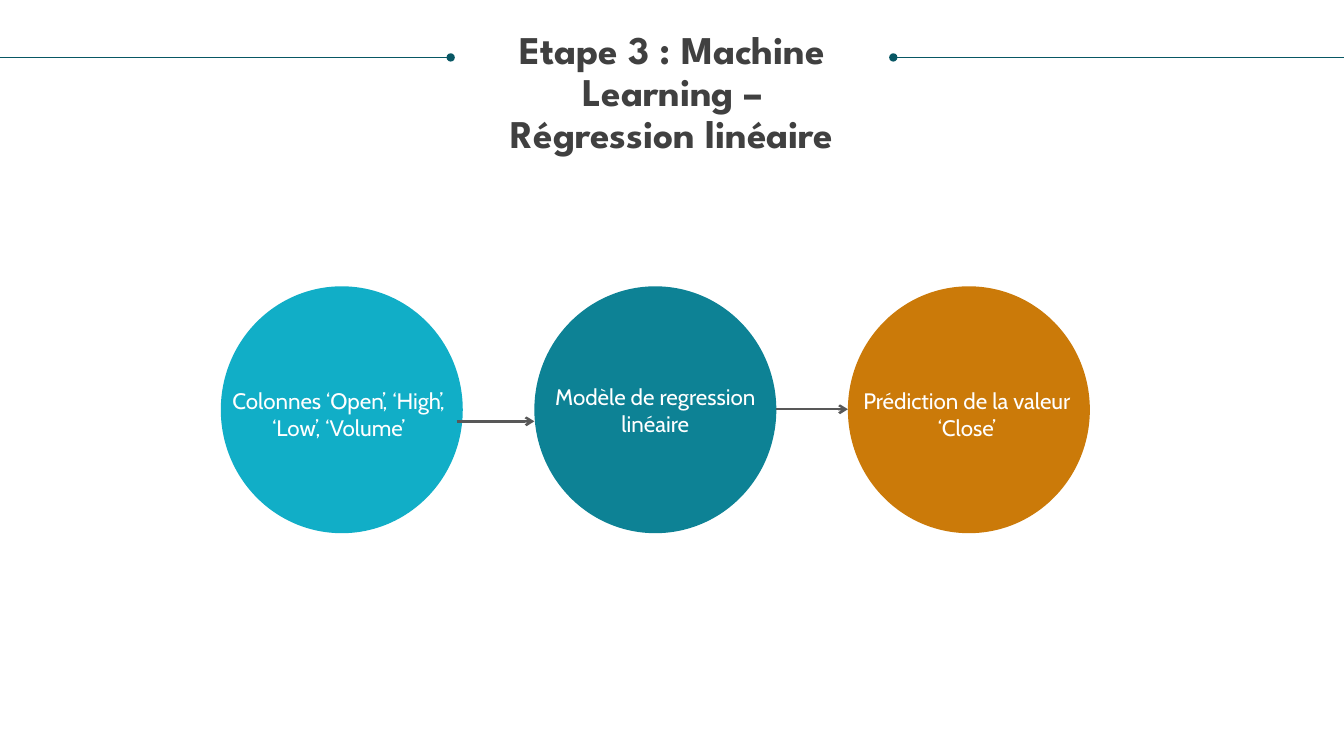
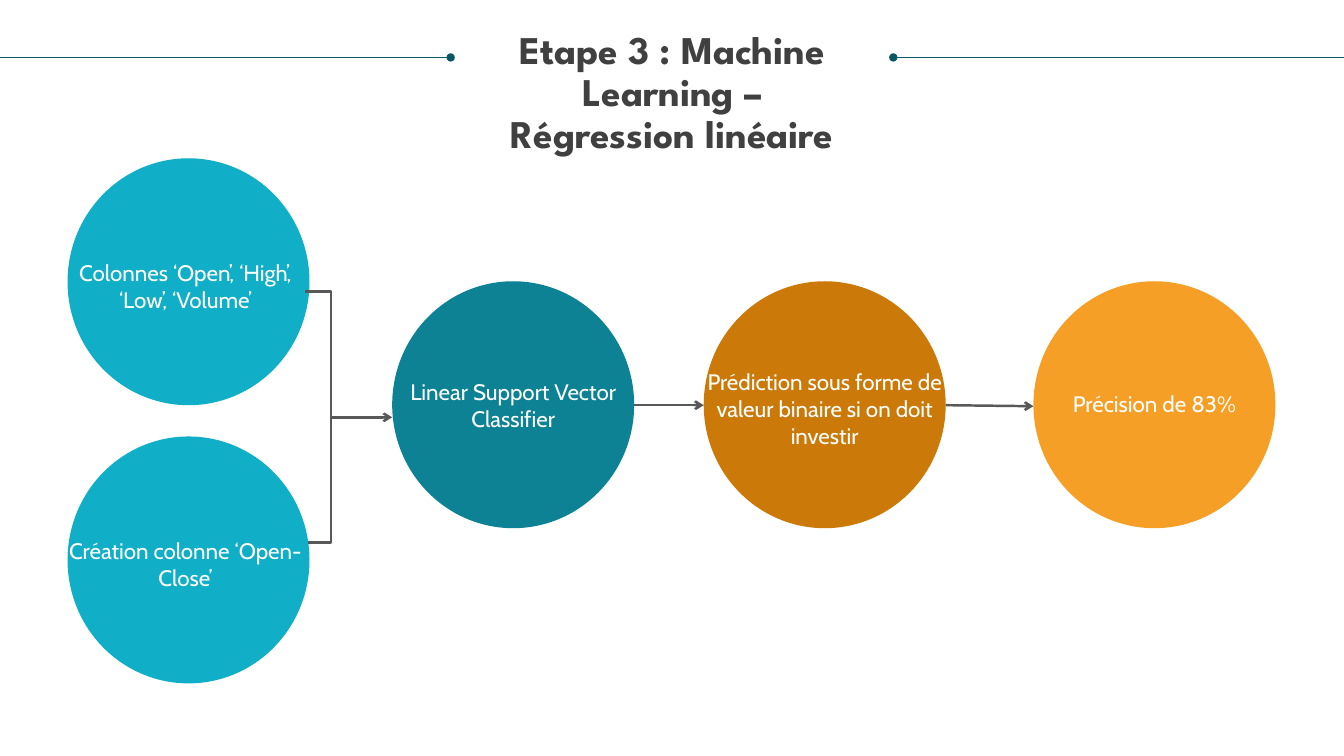
from dataclasses import dataclass

from lxml import etree
from pptx import Presentation
from pptx import util as u
from pptx.dml.color import RGBColor
from pptx.enum import shapes, text
from pptx.oxml import ns

PX = 9144  # EMU, 100 px to the inch
PAGE_W, PAGE_H = 1333, 750
CIRCLE_W, CIRCLE_H = 240, 245


@dataclass(frozen=True)
class Theme:
    rule: str = "085764"
    title: str = "404040"
    arrow: str = "585858"
    label: str = "FFFFFF"
    source: str = "11AEC7"
    model: str = "0D8295"
    prediction: str = "CB7A09"
    score: str = "F59F26"
    title_font: str = "League Spartan"
    label_font: str = "Cabin"
    title_size: int = 28
    label_size: int = 16
    rule_width: float = 0.5
    arrow_width: float = 1.75


THEME = Theme()
TITLE = ("Etape 3 : Machine", "Learning –", "Régression linéaire")
COLUMNS = "Colonnes ‘Open’, ‘High’, ‘Low’, ‘Volume’"
TITLE_FORMAT = {"name": THEME.title_font, "size": u.Pt(THEME.title_size), "bold": True}
LABEL_FORMAT = {"name": THEME.label_font, "size": u.Pt(THEME.label_size), "bold": False}


def emu(*lengths):
    return [u.Emu(length * PX) for length in lengths]


def set_attributes(target, values):
    for name, value in values.items():
        setattr(target, name, value)


def add_text(page, place, lines, font, color, anchor, spacing=1.0):
    box = page.shapes.add_textbox(*emu(*place))
    frame = box.text_frame
    set_attributes(frame, {
        "word_wrap": True, "vertical_anchor": anchor, "margin_left": 0,
        "margin_right": 0, "margin_top": 0, "margin_bottom": 0,
    })
    for index, line in enumerate(lines):
        para = frame.add_paragraph() if index else frame.paragraphs[0]
        set_attributes(para, {"alignment": text.PP_ALIGN.CENTER, "line_spacing": spacing})
        span = para.add_run()
        span.text = line
        set_attributes(span.font, font)
        span.font.color.rgb = RGBColor.from_string(color)


def add_line(page, start, end, color, width, tip=None, kind=shapes.MSO_CONNECTOR.STRAIGHT):
    line = page.shapes.add_connector(kind, *emu(*start, *end))
    line.line.color.rgb = RGBColor.from_string(color)
    line.line.width = u.Pt(width)
    if tip:
        etree.SubElement(line.line._get_or_add_ln(), ns.qn("a:tailEnd"), type=tip)
    etree.SubElement(line._element.spPr, ns.qn("a:effectLst"))
    return line


def add_arrow(page, start, end):
    add_line(page, start, end, THEME.arrow, THEME.arrow_width, "arrow")


def add_bracket(page, start, end, bend_x):
    """Join two points by an elbow whose upright stands at bend_x, beyond both."""
    line = add_line(page, start, end, THEME.arrow, THEME.arrow_width,
                    kind=shapes.MSO_CONNECTOR.ELBOW)
    ratio = round(100000 * (bend_x - start[0]) / (end[0] - start[0]))
    guides = line._element.spPr.find(ns.qn("a:prstGeom")).get_or_add_avLst()
    etree.SubElement(guides, ns.qn("a:gd"), name="adj1", fmla=f"val {ratio}")


def add_step(page, left, top, color, label, shift=(0, 0)):
    """Draw a circle with its label, moved by shift from the circle's centre."""
    circle = page.shapes.add_shape(shapes.MSO_SHAPE.OVAL, *emu(left, top, CIRCLE_W, CIRCLE_H))
    circle.shadow.inherit = False
    circle.fill.solid()
    circle.fill.fore_color.rgb = RGBColor.from_string(color)
    circle.line.fill.background()
    place = (left + shift[0], top + shift[1], CIRCLE_W, CIRCLE_H)
    add_text(page, place, [label], LABEL_FORMAT, THEME.label, text.MSO_ANCHOR.MIDDLE)


def add_page(deck):
    """Add a blank page with the shared title between two rules."""
    page = deck.slides.add_slide(deck.slide_layouts[6])
    for outer, inner in ((0, 447), (PAGE_W, 886)):
        add_line(page, (outer, 57), (inner, 57), THEME.rule, THEME.rule_width, "oval")
    add_text(page, (25, 30, 1283, 170), TITLE, TITLE_FORMAT, THEME.title,
             text.MSO_ANCHOR.TOP, 0.9)
    return page


def build_regression(deck):
    page = add_page(deck)
    steps = (
        (THEME.source, COLUMNS, (-3, 4)),
        (THEME.model, "Modèle de regression linéaire", (0, 0)),
        (THEME.prediction, "Prédiction de la valeur ‘Close’", (-2, 4)),
    )
    for index, step in enumerate(steps):
        add_step(page, 219 + 311 * index, 284, *step)
    add_arrow(page, (453, 418), (530, 418))
    add_arrow(page, (770, 406), (841, 406))


def build_classifier(deck):
    page = add_page(deck)
    for top, label in ((157, COLUMNS), (433, "Création colonne ‘Open-Close’")):
        add_step(page, 67, top, THEME.source, label, (-3, 4))
    steps = (
        (389, THEME.model, "Linear Support Vector Classifier", (0, 0)),
        (698, THEME.prediction,
         "Prédiction sous forme de valeur binaire si on doit investir", (0, 4)),
        (1025, THEME.score, "Précision de 83%", (0, -1)),
    )
    for left, *step in steps:
        add_step(page, left, 279, *step)
    add_bracket(page, (303, 289), (305, 538), 328)
    add_arrow(page, (329, 414), (389, 414))
    add_arrow(page, (629, 402), (698, 402))
    add_arrow(page, (938, 402), (1025, 403))


def main():
    deck = Presentation()
    deck.slide_width, deck.slide_height = emu(PAGE_W, PAGE_H)
    build_regression(deck)
    build_classifier(deck)
    deck.save("out.pptx")


if __name__ == "__main__":
    main()
